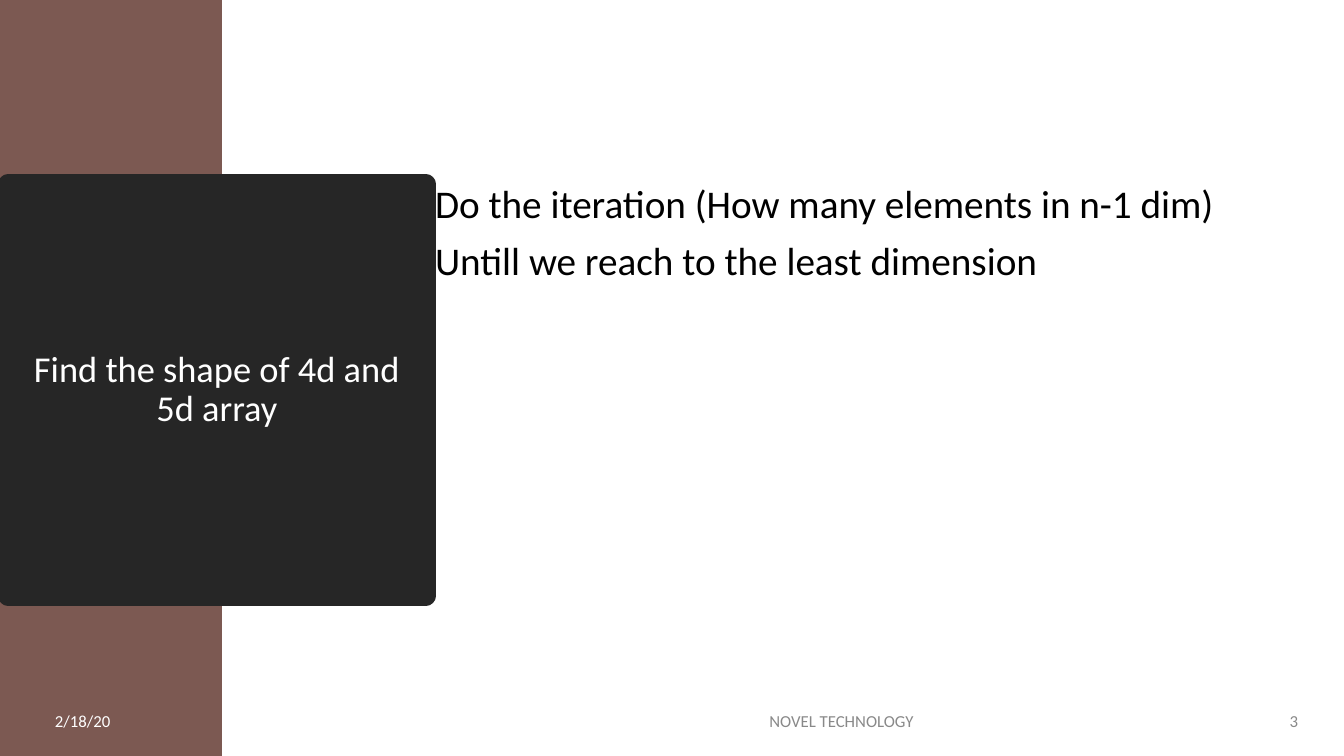
"""Build the slide about the shape of 4d and 5d arrays."""
import pptx
import pptx.util
import pptx.dml.color
import pptx.enum.shapes
import pptx.enum.text
import pptx.oxml
import pptx.oxml.ns

EMU_PER_PX = 914400 / 100.8
COLORS = {"band": "7C5952", "panel": "262626", "light": "FFFFFF",
          "footer": "898989", "text": "000000"}
ALIGN = pptx.enum.text.PP_ALIGN
ANCHOR = pptx.enum.text.MSO_ANCHOR


def px(n):
    """Turn pixels into EMU."""
    return pptx.util.Emu(round(n * EMU_PER_PX))


def rgb(name):
    """Look up a named colour."""
    return pptx.dml.color.RGBColor.from_string(COLORS[name])


def place(sp, box):
    """Move and size a shape."""
    sp.left, sp.top, sp.width, sp.height = map(px, box)


def fill(sp, color):
    """Give a shape a solid fill."""
    sp.fill.solid()
    sp.fill.fore_color.rgb = rgb(color)


def write(sp, lines, size, color, align, anchor, spacing=1.0, before=0):
    """Write one formatted paragraph for each line."""
    tf = sp.text_frame
    tf.word_wrap = True
    tf.auto_size = pptx.enum.text.MSO_AUTO_SIZE.NONE
    tf.vertical_anchor = anchor
    for i, line in enumerate(lines):
        p = tf.add_paragraph() if i else tf.paragraphs[0]
        p.alignment = align
        p.line_spacing = spacing
        p.space_before = pptx.util.Pt(before)
        r = p.add_run()
        r.text = line
        r.font.name = "Calibri"
        r.font.size = pptx.util.Pt(size)
        r.font.color.rgb = rgb(color)


def add_band(slide):
    """Add the coloured band at the left, behind everything."""
    sp = slide.shapes.add_shape(pptx.enum.shapes.MSO_SHAPE.RECTANGLE,
                                0, 0, px(222), px(756))
    sp.shadow.inherit = False
    fill(sp, "band")
    sp.line.fill.background()
    slide.shapes._spTree.insert(2, sp._element)


def format_title(sp, text):
    """Turn the title into a dark panel with rounded edges."""
    place(sp, (8, 184, 418, 412))
    fill(sp, "panel")
    sp.line.color.rgb = rgb("panel")
    sp.line.width = pptx.util.Pt(13.75)
    sp.line._get_or_add_ln().append(pptx.oxml.parse_xml(
        "<a:round %s/>" % pptx.oxml.ns.nsdecls("a")))
    write(sp, [text], 26, "light", ALIGN.CENTER, ANCHOR.MIDDLE, 0.9)


def format_body(sp, lines):
    """Place the body and write its lines without bullets."""
    place(sp, (425, 124, 883, 450))
    write(sp, lines, 28, "text", ALIGN.LEFT, ANCHOR.TOP, 0.9, 10)
    sp.text_frame.margin_top = px(61)
    for p in sp.text_frame.paragraphs:
        pPr = p._p.get_or_add_pPr()
        pPr.set("marL", "0")
        pPr.set("indent", "0")
        pPr.append(pptx.oxml.parse_xml(
            "<a:buNone %s/>" % pptx.oxml.ns.nsdecls("a")))


def add_footer(slide, left, width, text, color, align):
    """Add one text box of the footer row."""
    sp = slide.shapes.add_textbox(px(left), px(701), px(width), px(40))
    write(sp, [text], 12, color, align, ANCHOR.MIDDLE)
    sp.text_frame.paragraphs[0].space_after = pptx.util.Pt(6)


def main():
    """Build and save the slide."""
    prs = pptx.Presentation()
    prs.slide_width, prs.slide_height = px(1344), px(756)
    slide = prs.slides.add_slide(prs.slide_layouts[1])
    add_band(slide)
    format_title(slide.shapes.title, "Find the shape of 4d and 5d array")
    format_body(slide.placeholders[1], [
        "Do the iteration (How many elements in n-1 dim)",
        "Untill we reach to the least dimension"])
    add_footer(slide, 45, 163, "2/18/20", "light", ALIGN.LEFT)
    add_footer(slide, 454, 775, "NOVEL TECHNOLOGY", "footer", ALIGN.CENTER)
    add_footer(slide, 1247, 61, "3", "footer", ALIGN.RIGHT)
    prs.save("out.pptx")


main()
